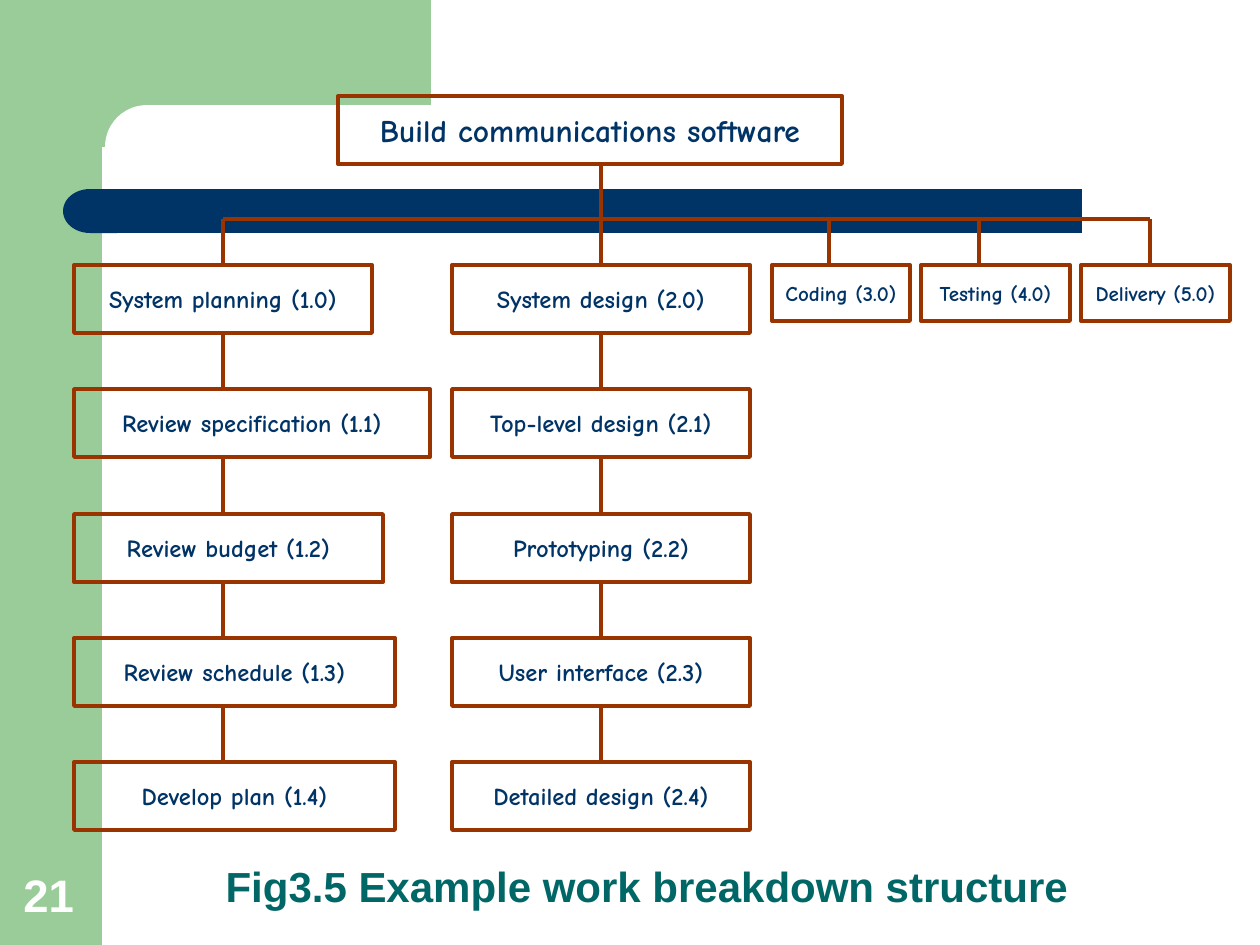
from lxml import etree
from pptx import Presentation
from pptx import util as u
from pptx.dml.color import RGBColor
from pptx.enum import shapes, text
from pptx.oxml.ns import qn

GREEN, NAVY, RUST, TEAL, WHITE = "99CC99", "003366", "993300", "006666", "FFFFFF"
SHAPE = shapes.MSO_SHAPE

BACKDROP = [
    (SHAPE.RECTANGLE, (0, 0, 102, 945), GREEN),
    (SHAPE.RECTANGLE, (92, 0, 339, 147), GREEN),
    (SHAPE.ROUNDED_RECTANGLE, (105, 105, 703, 84), WHITE),
    (SHAPE.RECTANGLE, (116, 189, 966, 44), NAVY),
    (SHAPE.FLOWCHART_DELAY, (63, 189, 54, 44), NAVY),
]
TITLE = "Fig3.5 Example work breakdown structure"
PAGE = "21"
ROOT = ("Build communications software", 338, 96, 504)
COLUMNS = [
    (74, [("System planning (1.0)", 298), ("Review specification (1.1)", 356),
          ("Review budget (1.2)", 309), ("Review schedule (1.3)", 321),
          ("Develop plan (1.4)", 321)]),
    (452, [("System design (2.0)", 298), ("Top-level design (2.1)", 298),
           ("Prototyping (2.2)", 298), ("User interface (2.3)", 298),
           ("Detailed design (2.4)", 298)]),
]
LEAVES = [
    ("Coding (3.0)", 772, 138, 829),
    ("Testing (4.0)", 921, 149, 979),
    ("Delivery (5.0)", 1081, 149, 1150),
]
ROW_TOP, ROW_PITCH, BOX_HEIGHT, LEAF_HEIGHT, BUS_Y = 265, 124.3, 68, 56, 219
TOP, BOTTOM = 0, 2


def px(value):
    return round(value * 914400 / 126)


def colour(value):
    return RGBColor.from_string(value)


def add_run(paragraph, words, size, font, fill):
    run = paragraph.add_run()
    run.text = words
    run.font.size = u.Pt(size)
    run.font.name = font
    run.font.bold = True
    run.font.color.rgb = colour(fill)


def add_backdrop(slide, kind, place, fill):
    shape = slide.shapes.add_shape(kind, *map(px, place))
    shape.shadow.inherit = False
    shape.fill.solid()
    shape.fill.fore_color.rgb = colour(fill)
    shape.line.fill.background()
    return shape


def add_box(slide, words, left, top, width, height, size):
    box = slide.shapes.add_shape(SHAPE.RECTANGLE, *map(px, (left, top, width, height)))
    box.shadow.inherit = False
    box.fill.background()
    box.line.color.rgb = colour(RUST)
    box.line.width = u.Pt(2.25)
    frame = box.text_frame
    frame.margin_left = frame.margin_right = frame.margin_top = frame.margin_bottom = 0
    frame.word_wrap = False
    frame.vertical_anchor = text.MSO_ANCHOR.MIDDLE
    paragraph = frame.paragraphs[0]
    paragraph.alignment = text.PP_ALIGN.CENTER
    add_run(paragraph, words, size, "Comic Neue", NAVY)
    return box


def add_line(slide, x1, y1, x2, y2, start=None, end=None):
    line = slide.shapes.add_connector(
        shapes.MSO_CONNECTOR.STRAIGHT, *map(px, (x1, y1, x2, y2)))
    line.line.color.rgb = colour(RUST)
    line.line.width = u.Pt(2.25)
    etree.SubElement(line._element.spPr, qn("a:effectLst"))
    if start is not None:
        line.begin_connect(start, BOTTOM)
    if end is not None:
        line.end_connect(end, TOP)


def add_column(slide, left, items):
    middle = left + items[0][1] / 2
    boxes = []
    for row, (words, width) in enumerate(items):
        top = ROW_TOP + round(row * ROW_PITCH)
        box = add_box(slide, words, left, top, width, BOX_HEIGHT, 14)
        centred = left + width / 2 == middle
        boxes.append((box if centred else None, top))
    for (upper, above), (lower, below) in zip(boxes, boxes[1:]):
        add_line(slide, middle, above + BOX_HEIGHT, middle, below, upper, lower)
    return boxes[0][0], middle


def add_chart_tree(slide):
    words, left, top, width = ROOT
    add_box(slide, words, left, top, width, BOX_HEIGHT, 18)
    (planning, first), (design, trunk) = [
        add_column(slide, left, items) for left, items in COLUMNS]
    add_line(slide, trunk, top + BOX_HEIGHT, trunk, ROW_TOP, end=design)
    add_line(slide, first, BUS_Y, LEAVES[-1][3], BUS_Y)
    add_line(slide, first, BUS_Y, first, ROW_TOP, end=planning)
    for words, left, width, drop in LEAVES:
        add_box(slide, words, left, ROW_TOP, width, LEAF_HEIGHT, 12)
        add_line(slide, drop, BUS_Y, drop, ROW_TOP)


def add_title(slide):
    title = slide.shapes.title
    title.left, title.top, title.width, title.height = map(px, (213, 845, 932, 73))
    frame = title.text_frame
    frame.word_wrap = True
    frame.auto_size = text.MSO_AUTO_SIZE.NONE
    frame.vertical_anchor = text.MSO_ANCHOR.BOTTOM
    paragraph = frame.paragraphs[0]
    paragraph.alignment = text.PP_ALIGN.LEFT
    paragraph.line_spacing = 0.9
    add_run(paragraph, TITLE, 24, "Arial", TEAL)


def add_page_number(slide):
    frame = slide.shapes.add_textbox(*map(px, (11, 861, 81, 67))).text_frame
    frame.word_wrap = True
    frame.vertical_anchor = text.MSO_ANCHOR.BOTTOM
    add_run(frame.paragraphs[0], PAGE, 26, "Arial", WHITE)


def main():
    presentation = Presentation()
    presentation.slide_width, presentation.slide_height = px(1260), px(945)
    slide = presentation.slides.add_slide(presentation.slide_layouts[5])
    for kind, place, fill in BACKDROP:
        shape = add_backdrop(slide, kind, place, fill)
        if kind == SHAPE.ROUNDED_RECTANGLE:
            shape.adjustments[0] = 0.5
        if kind == SHAPE.FLOWCHART_DELAY:
            shape.rotation = 180
    add_title(slide)
    add_page_number(slide)
    add_chart_tree(slide)
    presentation.save("out.pptx")


if __name__ == "__main__":
    main()
